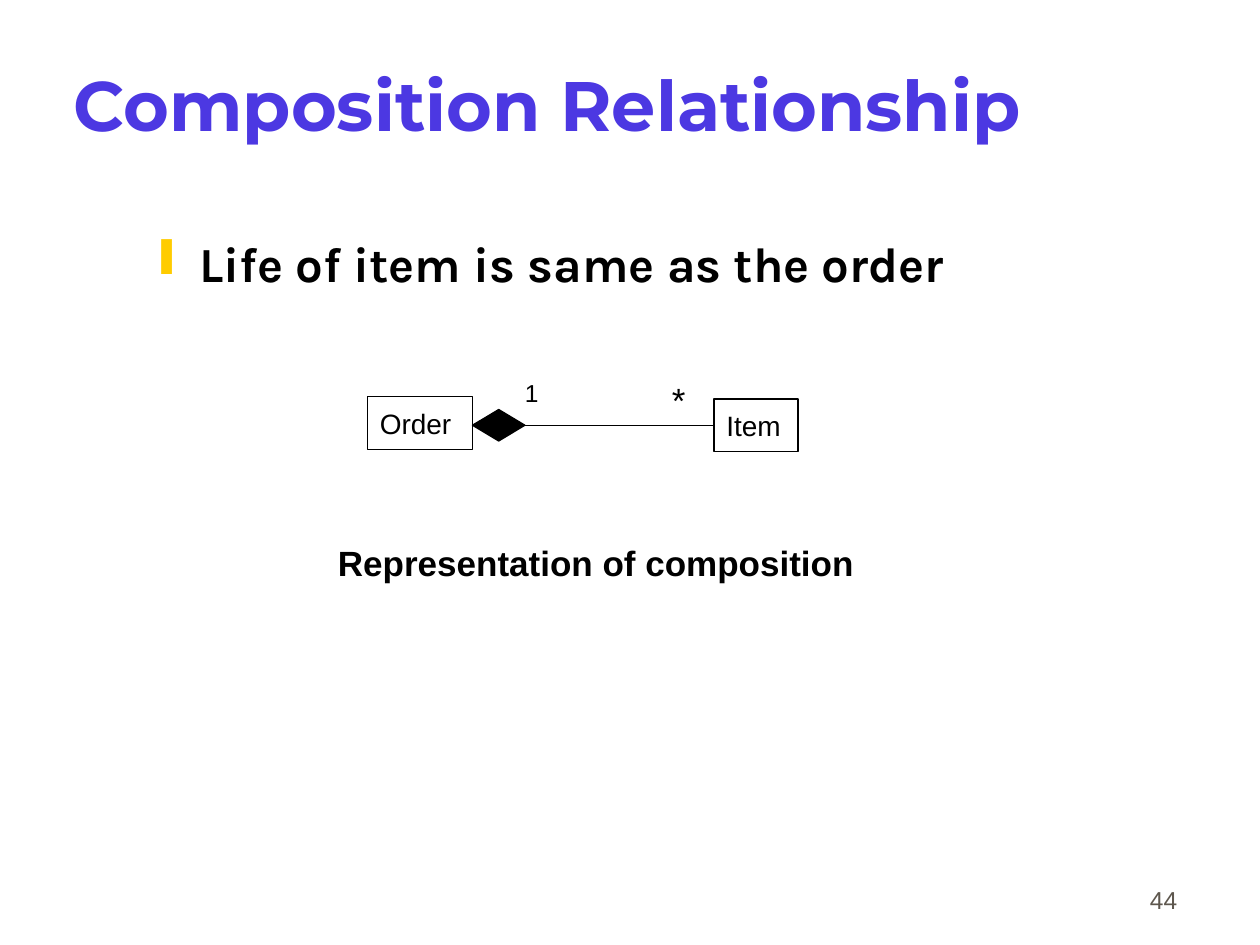
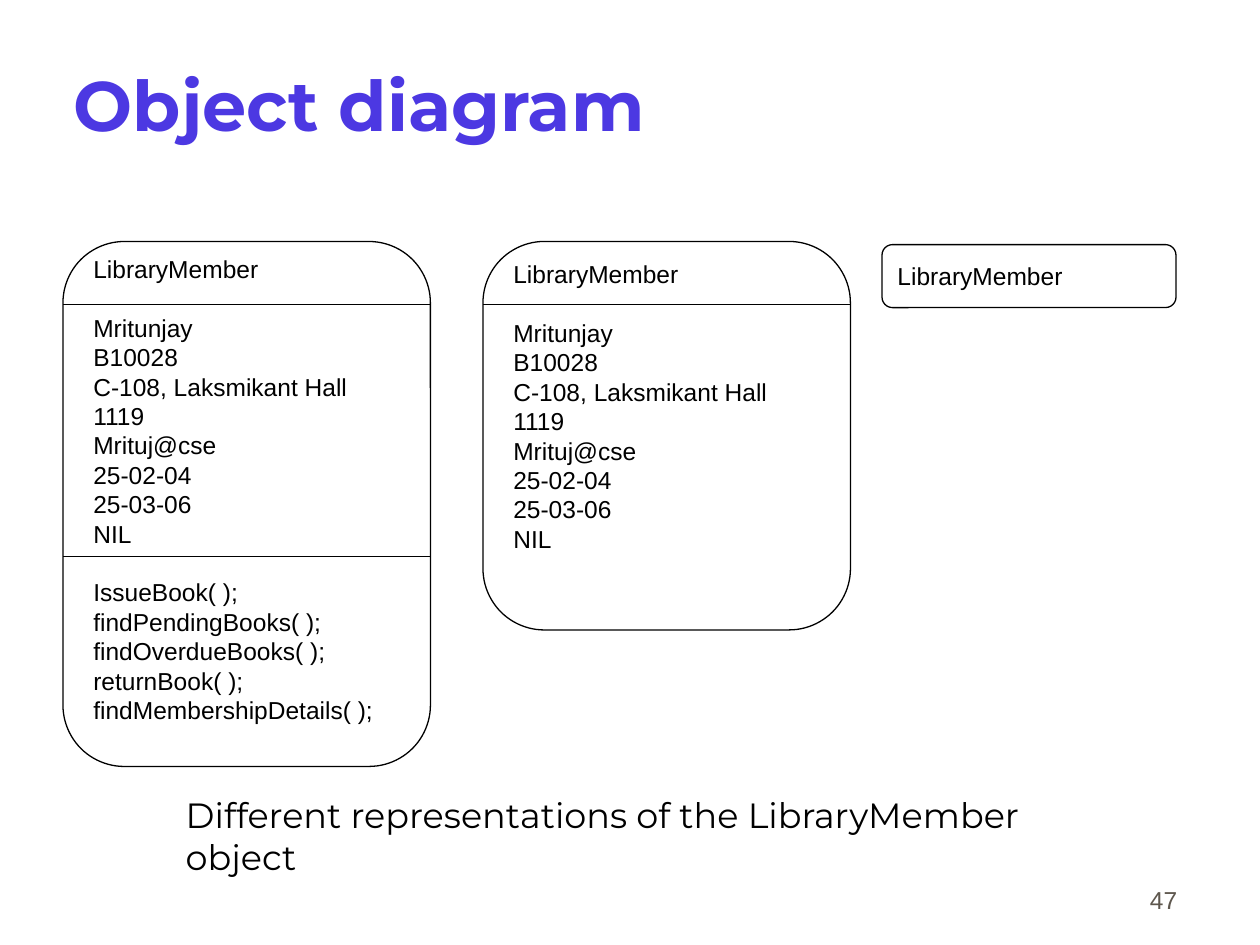
from dataclasses import dataclass

from lxml.etree import SubElement as Sub
from pptx import Presentation
from pptx.dml.color import RGBColor as Rgb
from pptx.enum.shapes import MSO_CONNECTOR as Link, MSO_SHAPE as Kind
from pptx.enum.text import MSO_ANCHOR as Anchor, PP_ALIGN as Align
from pptx.oxml.ns import qn
from pptx.util import Inches, Pt


@dataclass(frozen=True)
class Theme:
    """Colours, fonts and type sizes shared by the slides."""
    title: str = "4C38E2"
    ink: str = "000000"
    mark: str = "FFCC00"
    grey: str = "5E574E"
    sans: str = "Arial"
    head: str = "Montserrat"
    body: str = "Karla"
    huge: int = 40
    big: int = 28
    mid: int = 20
    name: int = 16
    small: int = 14
    line: float = 0.75
    lead: float = 16.8


T = Theme()
WIDE, HIGH = 10, 7.5
COLS, ROWS = 120, 90
DATA = ("Mritunjay", "B10028", "C-108, Laksmikant Hall", "1119",
        "Mrituj@cse", "25-02-04", "25-03-06", "NIL")
CALLS = ("IssueBook( );", "findPendingBooks( );", "findOverdueBooks( );",
         "returnBook( );", "findMembershipDetails( );")


def grid(col, row, wide, high):
    """Turn grid columns and rows into lengths."""
    return [Inches(col * WIDE / COLS), Inches(row * HIGH / ROWS),
            Inches(wide * WIDE / COLS), Inches(high * HIGH / ROWS)]


def write(para, words, size, font=T.sans, color=T.ink, bold=False):
    """Add one styled run to a paragraph."""
    run = para.add_run()
    run.text = words
    face = run.font
    face.size, face.name, face.bold = Pt(size), font, bold
    face.color.rgb = Rgb.from_string(color)


def inset(frame, side=0.1, edge=0.05):
    """Set the inner margins of a text frame."""
    frame.margin_left = frame.margin_right = Inches(side)
    frame.margin_top = frame.margin_bottom = Inches(edge)


def text(slide, area, words, size, side=0.1, edge=0.05, wrap=True,
         anchor=Anchor.TOP, align=Align.LEFT, **style):
    """Add a text box of one run and return its frame."""
    frame = slide.shapes.add_textbox(*grid(*area)).text_frame
    inset(frame, side, edge)
    frame.word_wrap = wrap
    frame.vertical_anchor = anchor
    para = frame.paragraphs[0]
    para.alignment = align
    write(para, words, size, **style)
    return frame


def shape(slide, kind, area, fill=None):
    """Add an outlined shape, filled on request."""
    item = slide.shapes.add_shape(kind, *grid(*area))
    item.shadow.inherit = False
    if fill:
        item.fill.solid()
        item.fill.fore_color.rgb = Rgb.from_string(fill)
    else:
        item.fill.background()
    item.line.color.rgb = Rgb.from_string(T.ink)
    item.line.width = Pt(T.line)
    return item


def rule(slide, col, row, wide):
    """Draw a thin level line."""
    left, top, span, _ = grid(col, row, wide, 0)
    line = slide.shapes.add_connector(Link.STRAIGHT, left, top, left + span, top)
    line.line.color.rgb = Rgb.from_string(T.ink)
    line.line.width = Pt(T.line)
    Sub(line._element.spPr, qn("a:effectLst"))
    return line


def box(slide, area, name):
    """Draw a class box with its name."""
    item = shape(slide, Kind.RECTANGLE, area)
    frame = item.text_frame
    inset(frame)
    frame.vertical_anchor = Anchor.MIDDLE
    para = frame.paragraphs[0]
    para.alignment = Align.LEFT
    write(para, name, T.name)
    return item


def card(slide, area, parts, cuts=(), spare=0):
    """Draw a rounded object card; spare is the room in lines below its text."""
    item = shape(slide, Kind.ROUNDED_RECTANGLE, area)
    item.adjustments[0] = 0.167
    frame = item.text_frame
    inset(frame)
    frame.margin_bottom += Pt(spare * T.lead)
    frame.vertical_anchor = Anchor.MIDDLE
    para = frame.paragraphs[0]
    for rank, part in enumerate(parts):
        for spot, words in enumerate(part):
            if rank or spot:
                para = frame.add_paragraph()
            if rank and not spot:
                para.space_before = Pt(T.lead)
            para.alignment = Align.LEFT
            para.line_spacing = Pt(T.lead)
            write(para, words, T.small)
    for row in cuts:
        rule(slide, area[0], row, area[2])


def point(slide, area, words):
    """Add a line of body text with a bar as its bullet."""
    frame = text(slide, area, words, T.big, side=0.02, font=T.body, bold=True)
    props = frame.paragraphs[0]._p.get_or_add_pPr()
    props.set("marL", str(Inches(0.81)))
    props.set("indent", str(Inches(-0.31)))
    Sub(Sub(props, qn("a:buClr")), qn("a:srgbClr"), val=T.mark)
    Sub(props, qn("a:buChar"), char="❙")


def page(deck, title, number):
    """Add a slide with its title and number."""
    slide = deck.slides.add_slide(deck.slide_layouts[6])
    text(slide, (88.3, 81.7, 25, 6), number, T.small, color=T.grey,
         anchor=Anchor.BOTTOM, align=Align.RIGHT)
    text(slide, (5, 2.4, 102, 15), title, T.huge, side=0.17, font=T.head,
         color=T.title, bold=True, anchor=Anchor.MIDDLE)
    return slide


def compose(deck):
    """Build the composition slide."""
    slide = page(deck, "Composition Relationship", "44")
    point(slide, (9, 21.6, 102, 10), "Life of item is same as the order")
    box(slide, (35, 37.8, 10, 5), "Order")
    item = box(slide, (68, 38, 8, 5), "Item")
    gem = shape(slide, Kind.FLOWCHART_DECISION, (45, 39, 5, 3), T.ink)
    line = rule(slide, 50, 40.5, 18)
    line.begin_connect(gem, 3)
    line.end_connect(item, 1)
    for col, sign, size in ((50, "1", T.small), (64, "*", T.mid)):
        text(slide, (col, 36, 1.4, 4), sign, size, side=0, edge=0, wrap=False)
    text(slide, (31, 51, 51.6, 5.3), "Representation of composition", T.mid,
         wrap=False, bold=True)


def objects(deck):
    """Build the object diagram slide."""
    slide = page(deck, "Object diagram", "47")
    name = ("LibraryMember",)
    card(slide, (6, 23, 35, 50), (name, DATA, CALLS), (29, 53), 1)
    card(slide, (46, 23, 35, 37), (name, DATA), (29,), 2)
    card(slide, (84, 23.3, 28, 6), (name,))
    text(slide, (16.5, 75, 88, 5.3),
         "Different representations of the LibraryMember object", T.mid,
         font=T.head)


def main():
    """Build and save the deck."""
    deck = Presentation()
    deck.slide_width, deck.slide_height = Inches(WIDE), Inches(HIGH)
    compose(deck)
    objects(deck)
    deck.save("out.pptx")


if __name__ == "__main__":
    main()
